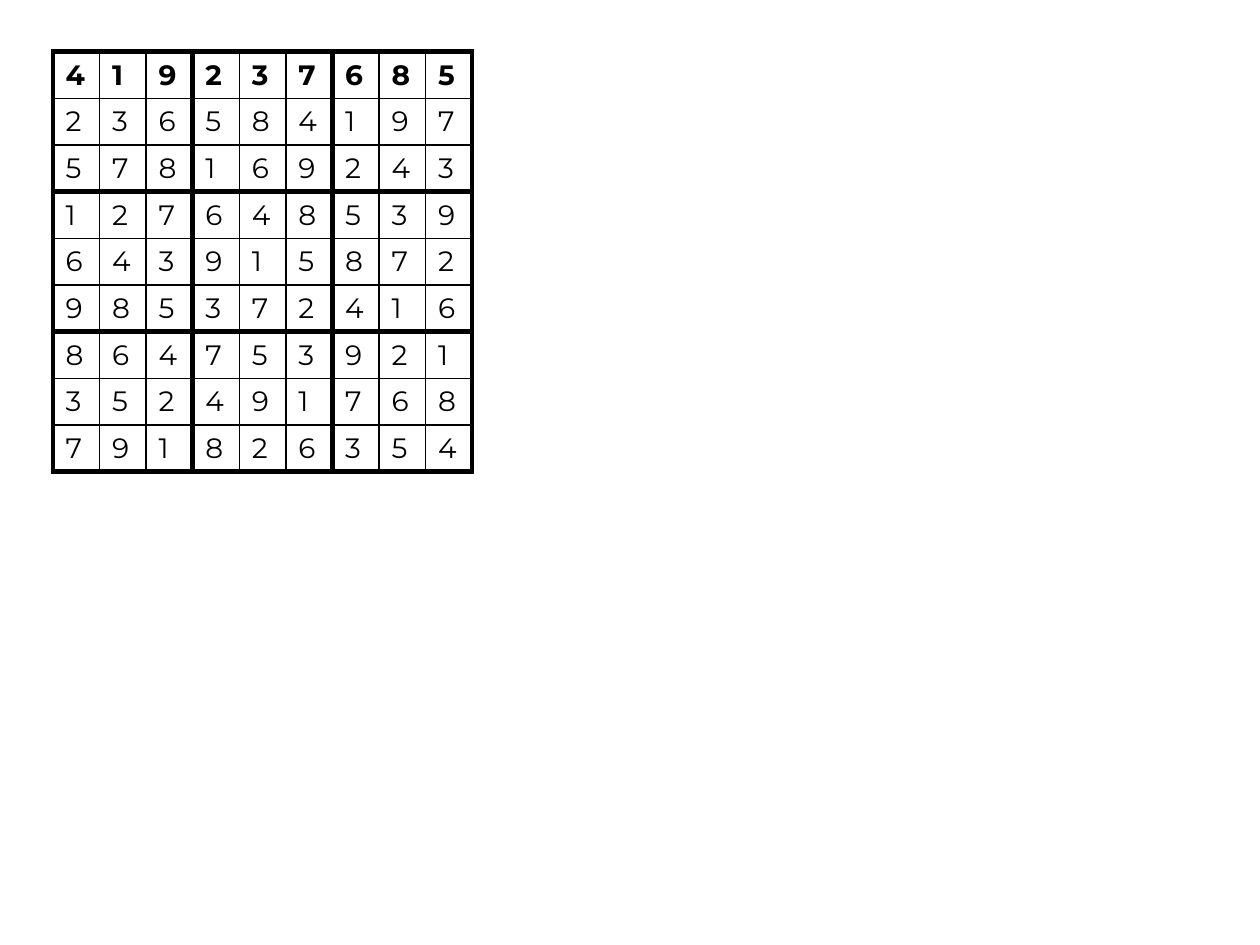
import pptx
import pptx.dml.color
import pptx.oxml
import pptx.oxml.ns
import pptx.util

Inches = pptx.util.Inches
Pt = pptx.util.Pt

SOLUTION = [
    "419237685",
    "236584197",
    "578169243",
    "127648539",
    "643915872",
    "985372416",
    "864753921",
    "352491768",
    "791826354",
]
BOX = 3
CELL_SIZE = 0.37
THIN, THICK = 1, 3


def color(hex_code):
    return pptx.dml.color.RGBColor.from_string(hex_code)


def edge_widths(position):
    """Widths of the leading and trailing edges of a cell along one axis."""
    leading = THICK if position % BOX == 0 else THIN
    trailing = THICK if position % BOX == BOX - 1 else THIN
    return leading, trailing


class SudokuSlide:
    font = "Montserrat"
    font_size = 16
    ink = "000000"
    paper = "FFFFFF"

    def __init__(self, presentation):
        blank_layout = presentation.slide_layouts[6]
        self.slide = presentation.slides.add_slide(blank_layout)

    def add_border(self, cell, side, width):
        line = pptx.oxml.parse_xml(
            f'<a:{side} {pptx.oxml.ns.nsdecls("a")} w="{Pt(width)}">'
            f'<a:solidFill><a:srgbClr val="{self.ink}"/></a:solidFill>'
            f'<a:prstDash val="solid"/></a:{side}>'
        )
        cell._tc.get_or_add_tcPr().append(line)

    def add_digit(self, cell, digit, bold):
        cell.text = digit
        font = cell.text_frame.paragraphs[0].font
        font.name = self.font
        font.size = Pt(self.font_size)
        font.bold = bold
        font.color.rgb = color(self.ink)

    def add_sudoku(self, digits, left, top):
        count = len(digits)
        side = Inches(CELL_SIZE * count)
        grid = self.slide.shapes.add_table(
            count, count, Inches(left), Inches(top), side, side
        ).table
        grid.first_row = grid.horz_banding = False
        for column in grid.columns:
            column.width = Inches(CELL_SIZE)
        for row in grid.rows:
            row.height = Inches(CELL_SIZE)

        for r, line in enumerate(digits):
            for c, digit in enumerate(line):
                cell = grid.cell(r, c)
                self.add_digit(cell, digit, bold=r == 0)
                widths = edge_widths(c) + edge_widths(r)
                for edge, width in zip(("lnL", "lnR", "lnT", "lnB"), widths):
                    self.add_border(cell, edge, width)
                cell.fill.solid()
                cell.fill.fore_color.rgb = color(self.paper)


def main():
    presentation = pptx.Presentation()
    presentation.slide_width = Inches(10)
    presentation.slide_height = Inches(7.5)
    SudokuSlide(presentation).add_sudoku(SOLUTION, left=0.42, top=0.41)
    presentation.save("out.pptx")


if __name__ == "__main__":
    main()
